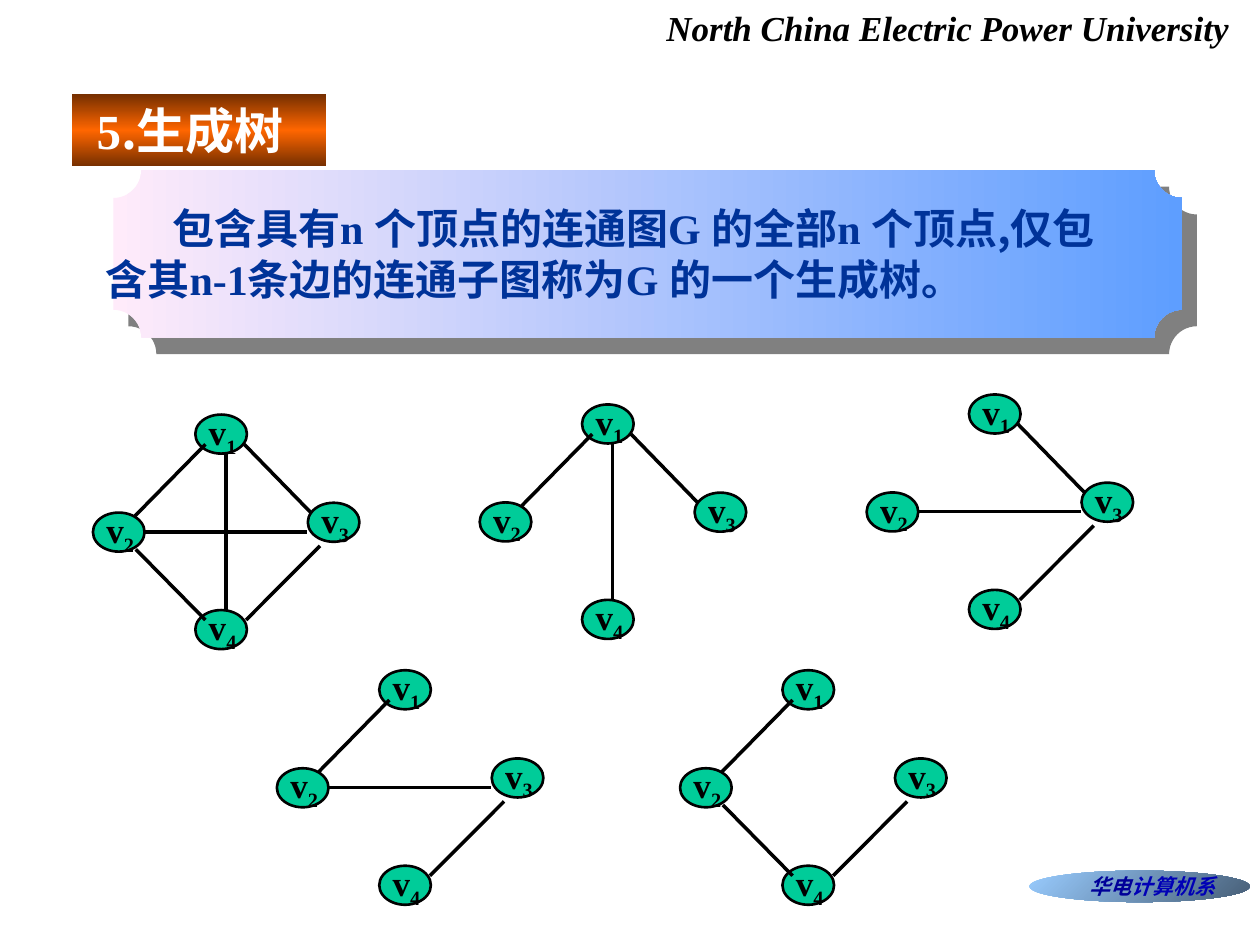
from lxml.etree import SubElement
from pptx import Presentation
from pptx.dml.color import RGBColor
from pptx.enum.shapes import MSO_CONNECTOR, MSO_SHAPE
from pptx.enum.text import MSO_ANCHOR, PP_ALIGN
from pptx.oxml.ns import qn
from pptx.util import Pt

ROMAN, HAN = "Times New Roman", "Noto Sans CJK SC"

# Content: a paragraph is a list of (text, format) runs
HEAD = [[("North China Electric Power University", {})]]
TITLE = [[("5", {}), (".生成树", {"face": HAN})]]
BADGE = [[("华电", {"color": "000099"}), ("计算机系", {"color": "0000B6"})]]
RULE = [
    ["包含具有", "n ", "个顶点的连通图", "G ", "的全部", "n ", "个顶点,仅包"],
    ["含其", "n-1", "条边的连通子图称为", "G ", "的一个生成树。"],
]

# Places relative to the top left of v1
NODES = {1: (0, 0), 2: (-58.5, 56), 3: (64.3, 50.4), 4: (0, 111.7)}
EDGES = {
    "12": (-34.5, 58, 5.8, 17),
    "13": (28, 17, 66, 56),
    "14": (17.5, 22.3, 17.5, 111.6),
    "23": (-29.5, 67, 64.1, 67),
    "24": (-34, 77, 5.8, 117.4),
    "34": (29, 117.4, 71.3, 75),
}
# The full graph, then its spanning trees: origin and edges
GRAPHS = [
    (111.6, 236.9, list(EDGES)),
    (332.6, 231.1, ["12", "13", "14"]),
    (553.7, 225.4, ["13", "23", "34"]),
    (216.7, 383, ["12", "23", "34"]),
    (447.1, 383, ["12", "24", "34"]),
]

deck = Presentation()
deck.slide_width, deck.slide_height = Pt(720), Pt(540)
slide = deck.slides.add_slide(deck.slide_layouts[6])
shapes = slide.shapes


def rgb(code):
    return RGBColor.from_string(code)


def shade(shape, stops, angle):
    """Fill a shape with gradient stops, angle in degrees clockwise."""
    shape.fill.gradient()
    grad = shape.element.spPr.find(qn("a:gradFill"))
    for child in list(grad):
        grad.remove(child)
    group = SubElement(grad, qn("a:gsLst"))
    for pos, code in stops:
        stop = SubElement(group, qn("a:gs"), pos=str(pos * 1000))
        SubElement(stop, qn("a:srgbClr"), val=code)
    SubElement(grad, qn("a:lin"), ang=str(angle * 60000), scaled="0")


def block(kind, x, y, w, h, fill=None, line=None):
    shape = shapes.add_shape(kind, Pt(x), Pt(y), Pt(w), Pt(h))
    shape.shadow.inherit = False
    if fill:
        shape.fill.solid()
        shape.fill.fore_color.rgb = rgb(fill)
    if line:
        shape.line.color.rgb = rgb(line)
        shape.line.width = Pt(1.5)
    else:
        shape.line.fill.background()
    return shape


def write(paras, x, y, w, h, size=20, color="000000", face=ROMAN, italic=False,
          align=PP_ALIGN.LEFT, inset=(7.2, 3.6), wrap=False, indent=0):
    box = shapes.add_textbox(Pt(x), Pt(y), Pt(w), Pt(h))
    frame = box.text_frame
    frame.word_wrap = wrap
    frame.vertical_anchor = MSO_ANCHOR.TOP
    frame.margin_left = frame.margin_right = Pt(inset[0])
    frame.margin_top = frame.margin_bottom = Pt(inset[1])
    for i, runs in enumerate(paras):
        para = frame.paragraphs[0] if i == 0 else frame.add_paragraph()
        para.alignment = align
        if indent and i == 0:
            para._p.get_or_add_pPr().set("indent", str(Pt(indent)))
        for text, form in runs:
            run = para.add_run()
            run.text = text
            font = run.font
            font.size, font.bold, font.italic = Pt(size), True, italic
            font.name = form.get("face", face)
            font.color.rgb = rgb(form.get("color", color))
            props = run._r.get_or_add_rPr()
            SubElement(props, qn("a:ea"), typeface=HAN)
            if "base" in form:
                props.set("baseline", str(form["base"] * 1000))


def edge(x1, y1, x2, y2):
    link = shapes.add_connector(MSO_CONNECTOR.STRAIGHT, Pt(x1), Pt(y1), Pt(x2), Pt(y2))
    link.line.color.rgb = rgb("000000")
    link.line.width = Pt(2)
    SubElement(link.element.spPr, qn("a:effectLst"))


# Header and section title
write(HEAD, 373.7, 0, 336.2, 31.7, italic=True)
bar = block(MSO_SHAPE.RECTANGLE, 41, 54, 145.4, 41)
shade(bar, [(0, "762F00"), (50, "FF6600"), (100, "762F00")], 90)
write(TITLE, 41, 54, 145.4, 41, size=28, color="FFFFFF", inset=(14.2, 3.6))

# Department badge
oval = block(MSO_SHAPE.OVAL, 588.2, 497.5, 126, 18)
shade(oval, [(0, "99CCFF"), (100, "475E76")], 45)
write(BADGE, 619.2, 499, 79.2, 14.4, size=12, face=HAN, italic=True,
      align=PP_ALIGN.CENTER, inset=(0, 0))

# Definition plaque over its grey shade
block(MSO_SHAPE.PLAQUE, 73.4, 106.6, 610.6, 95.8, fill="808080")
plaque = block(MSO_SHAPE.PLAQUE, 64.8, 97.2, 610.6, 95.8)
shade(plaque, [(0, "FFEBFA"), (100, "5E9EFF")], 0)
rule = [[(text, {"face": ROMAN if text.isascii() else HAN}) for text in para]
        for para in RULE]
write(rule, 53.3, 112.3, 650, 64.8, size=24, color="003399", wrap=True, indent=38)

# Graphs
for left, top, links in GRAPHS:
    for dx, dy in NODES.values():
        block(MSO_SHAPE.OVAL, left + dx, top + dy, 29.5, 22.3, "00CC99", "000000")
    for name in links:
        x1, y1, x2, y2 = EDGES[name]
        edge(left + x1, top + y1, left + x2, top + y2)
    for num, (dx, dy) in NODES.items():
        label = [[("v", {}), (str(num), {"base": -25})]]
        write(label, left + dx + 0.6, top + dy - 6, 30.2, 34.6)

deck.save("out.pptx")
